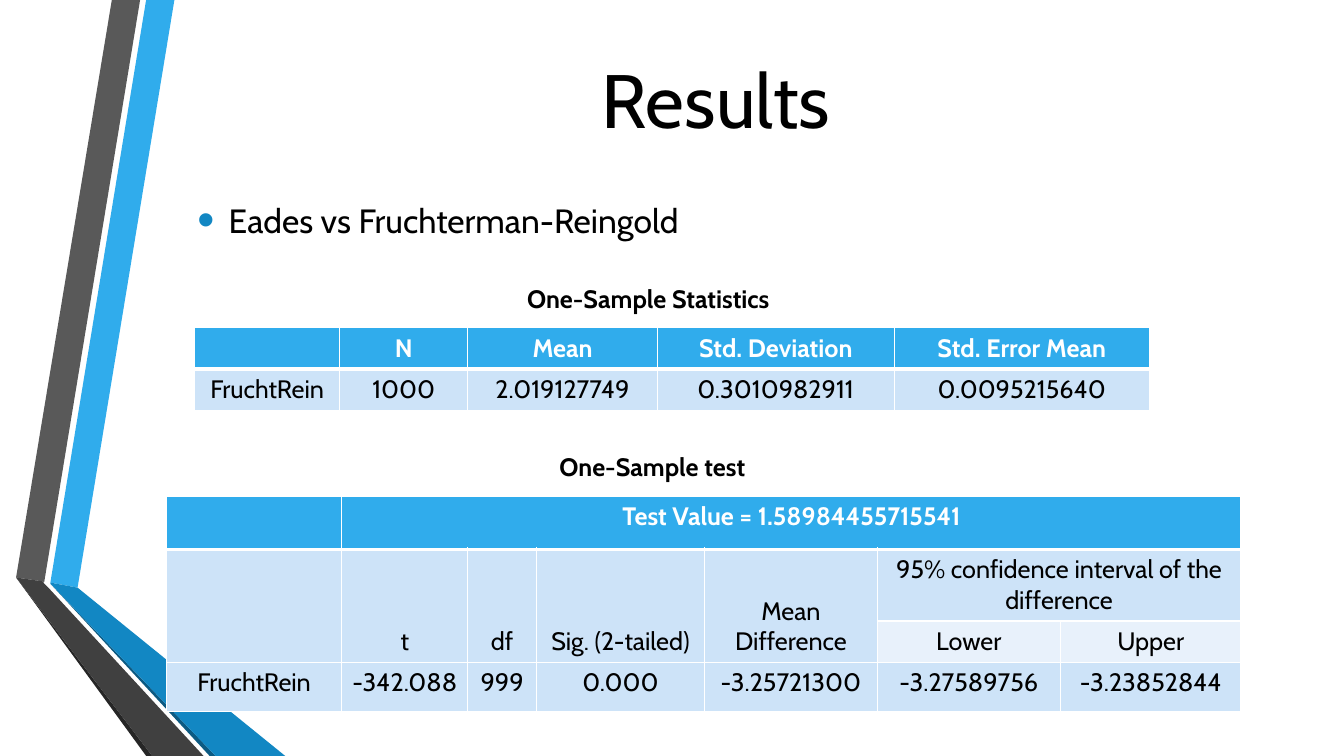
from lxml.etree import SubElement
from pptx import Presentation
from pptx.dml.color import RGBColor
from pptx.enum.text import MSO_ANCHOR, PP_ALIGN
from pptx.oxml.ns import qn
from pptx.util import Inches, Pt

COLUMNS, ROWS = 1333, 750
WIDTH, HEIGHT = Inches(13.33), Inches(7.5)
FONT = "Cabin"
COLOURS = {
    "sky": "30ACEC", "blue": "1287C3", "navy": "0C5A82",
    "grey": "595959", "charcoal": "404040", "soot": "262626",
    "band": "CDE3F8", "pale": "E8F1FB", "white": "FFFFFF", "black": "000000",
}
RIBBONS = [
    ("sky", [(50, 578), (77, 583), (173, 0), (145, 0)]),
    ("grey", [(139, 0), (111, 0), (16, 573), (44, 577)]),
    ("soot", [(16, 573), (145, 750), (151, 750)]),
    ("navy", [(50, 579), (208, 750), (214, 750)]),
    ("blue", [(50, 579), (214, 750), (283, 750), (77, 583), (50, 578)]),
    ("charcoal", [(202, 750), (48, 583), (43, 578), (44, 577), (16, 573), (151, 750)]),
]
STATISTICS = [
    ["", "N", "Mean", "Std. Deviation", "Std. Error Mean"],
    ["FruchtRein", "1000", "2.019127749", "0.3010982911", "0.0095215640"],
]
TEST = [
    ["", "Test Value = 1.58984455715541", "", "", "", "", ""],
    ["", "t", "df", "Sig. (2-tailed)", "Mean\nDifference",
     "95% confidence interval of the difference", ""],
    ["", "", "", "", "", "Lower", "Upper"],
    ["FruchtRein", "-342.088", "999", "0.000", "-3.25721300", "-3.27589756", "-3.23852844"],
]


def across(columns):
    return round(WIDTH * columns / COLUMNS)


def down(rows):
    return round(HEIGHT * rows / ROWS)


def frame(left, top, width, height):
    return across(left), down(top), across(width), down(height)


def colour(name):
    return RGBColor.from_string(COLOURS[name])


def add_span(para, text, size, ink="black", bold=False):
    span = para.add_run()
    span.text = text
    span.font.name = FONT
    span.font.size = Pt(size)
    span.font.bold = bold
    span.font.color.rgb = colour(ink)


def add_ribbon(page, fill, points):
    corners = [(across(x), down(y)) for x, y in points]
    builder = page.shapes.build_freeform(*corners[0])
    builder.add_line_segments(corners[1:])
    ribbon = builder.convert_to_shape()
    ribbon.shadow.inherit = False
    ribbon.fill.solid()
    ribbon.fill.fore_color.rgb = colour(fill)
    ribbon.line.fill.background()


def add_text(page, place, text, size, bold=False, align=PP_ALIGN.LEFT, anchor=MSO_ANCHOR.TOP):
    box = page.shapes.add_textbox(*frame(*place))
    box.text_frame.word_wrap = True
    box.text_frame.vertical_anchor = anchor
    para = box.text_frame.paragraphs[0]
    para.alignment = align
    add_span(para, text, size, bold=bold)
    return box


def add_bullet(box):
    properties = box.text_frame.paragraphs[0]._p.get_or_add_pPr()
    properties.set("marL", str(across(81)))
    properties.set("indent", str(-across(31)))
    ink = SubElement(properties, qn("a:buClr"))
    SubElement(ink, qn("a:srgbClr"), val=COLOURS["blue"])
    SubElement(properties, qn("a:buSzPct"), val="145000")
    SubElement(properties, qn("a:buFont"), typeface="Arial")
    SubElement(properties, qn("a:buChar"), char="•")


def add_borders(cell, bottom):
    properties = cell._tc.get_or_add_tcPr()
    weights = {"a:lnL": 1, "a:lnR": 1, "a:lnT": 1, "a:lnB": bottom}
    for position, (side, weight) in enumerate(weights.items()):
        line = SubElement(properties, qn(side), w=str(Pt(weight)))
        fill = SubElement(line, qn("a:solidFill"))
        SubElement(fill, qn("a:srgbClr"), val=COLOURS["white"])
        properties.insert(position, line)


def fill_cell(cell, text, fill, header):
    cell.fill.solid()
    cell.fill.fore_color.rgb = colour(fill)
    add_borders(cell, 3 if header else 1)
    for number, line in enumerate(text.split("\n") if text else []):
        paragraphs = cell.text_frame
        para = paragraphs.add_paragraph() if number else paragraphs.paragraphs[0]
        para.alignment = PP_ALIGN.CENTER
        add_span(para, line, 18, "white" if header else "black", header)


def add_grid(page, left, top, widths, heights, values):
    place = frame(left, top, sum(widths), sum(heights))
    table = page.shapes.add_table(len(heights), len(widths), *place).table
    for column, width in zip(table.columns, widths):
        column.width = across(width)
    for row, height in zip(table.rows, heights):
        row.height = down(height)
    for r, texts in enumerate(values):
        fill = "sky" if r == 0 else "pale" if r == 2 else "band"
        for c, text in enumerate(texts):
            fill_cell(table.cell(r, c), text, fill, r == 0)
    return table


def main():
    deck = Presentation()
    deck.slide_width, deck.slide_height = WIDTH, HEIGHT
    page = deck.slides.add_slide(deck.slide_layouts[6])
    for fill, points in RIBBONS:
        add_ribbon(page, fill, points)

    topic = add_text(page, (136, 103, 792, 278), "Eades vs Fruchterman-Reingold", 24)
    topic.text_frame.margin_top = down(95)
    add_bullet(topic)
    add_text(page, (162, 1, 1096, 192), "Results", 54,
             align=PP_ALIGN.CENTER, anchor=MSO_ANCHOR.MIDDLE)

    add_grid(page, 193, 325, [144, 127, 188, 235, 253], [41, 41], STATISTICS)
    test = add_grid(page, 165, 492, [174, 125, 68, 167, 171, 182, 179],
                    [53, 71, 41, 49], TEST)
    test.cell(0, 1).merge(test.cell(0, 6))
    test.cell(1, 5).merge(test.cell(1, 6))
    for column in range(5):
        heading = test.cell(1, column)
        heading.merge(test.cell(2, column))
        heading.vertical_anchor = MSO_ANCHOR.BOTTOM

    add_text(page, (545, 443, 244, 40), "One-Sample test", 18, bold=True)
    add_text(page, (513, 276, 307, 40), "One-Sample Statistics", 18, bold=True)
    deck.save("out.pptx")


if __name__ == "__main__":
    main()
